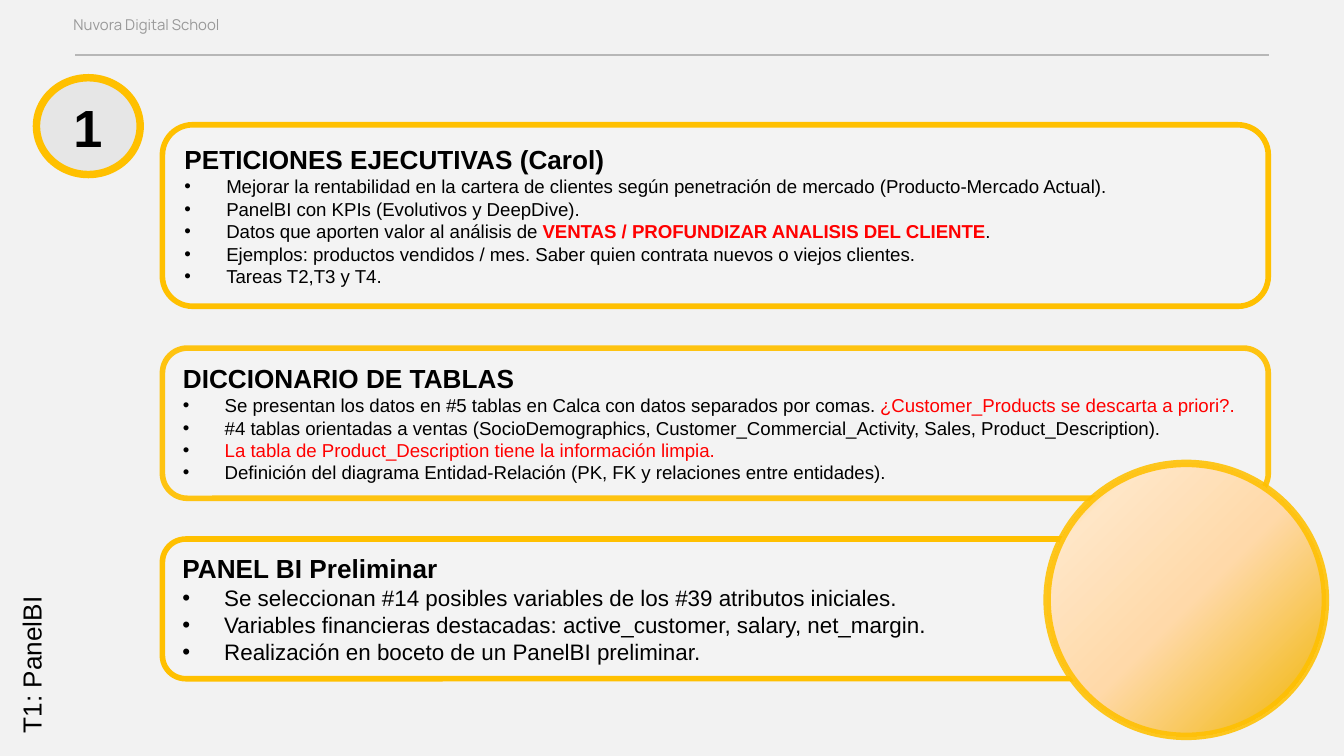
from lxml import etree
from pptx import Presentation
from pptx.dml.color import RGBColor
from pptx.enum import shapes, text
from pptx.oxml import parse_xml
from pptx.oxml.ns import nsdecls, qn
from pptx.util import Cm, Pt

COLORS = {"back": "F2F2F2", "rule": "B7B7B7", "brand": "999999", "gold": "FFC000",
          "grey": "808080", "white": "FFFFFF", "black": "000000", "red": "FF0000"}

# Content: each bullet is a list of (text, colour, bold) runs
SCHOOL = "Nuvora Digital School"
STEP = "1"
SIDE_TITLE = "T1: PanelBI"


def plain(words, color="black"):
    return (words, color, False)


# title, top (cm), height (cm), bullet size, line opacity, bullets
PANELS = [
    ("PETICIONES EJECUTIVAS (Carol)", 2.36, 3.43, 10, 100, [
        [plain("Mejorar la rentabilidad en la cartera de clientes según penetración "
               "de mercado (Producto-Mercado Actual).")],
        [plain("PanelBI con KPIs (Evolutivos y DeepDive).")],
        [plain("Datos que aporten valor al análisis de "),
         ("VENTAS / PROFUNDIZAR ANALISIS DEL CLIENTE", "red", True), plain(".")],
        [plain("Ejemplos: productos vendidos / mes. Saber quien contrata nuevos o "
               "viejos clientes.")],
        [plain("Tareas T2,T3 y T4.")],
    ]),
    ("DICCIONARIO DE TABLAS", 6.58, 2.84, 10, 92, [
        [plain("Se presentan los datos en #5 tablas en Calca con datos separados por comas. "),
         plain("¿Customer_Products se descarta a priori?.", "red")],
        [plain("#4 tablas orientadas a ventas (SocioDemographics, "
               "Customer_Commercial_Activity, Sales, Product_Description).")],
        [plain("La tabla de Product_Description tiene la información limpia.", "red")],
        [plain("Definición del diagrama Entidad-Relación (PK, FK y relaciones entre "
               "entidades).")],
    ]),
    ("PANEL BI Preliminar", 10.19, 2.64, 12, 100, [
        [plain("Se seleccionan #14 posibles variables de los #39 atributos iniciales.")],
        [plain("Variables financieras destacadas: active_customer, salary, net_margin.")],
        [plain("Realización en boceto de un PanelBI preliminar.")],
    ]),
]
PANEL_LEFT, PANEL_WIDTH = 3.07, 20.9
GLOW_STOPS = [(0, "F0B400"), (49, "FFD9A9"), (83, "FFE6C6"), (100, "FFC000")]


def rgb(name):
    return RGBColor.from_string(COLORS[name])


def set_opacity(fill_parent, percent):
    color = fill_parent.find(qn("a:solidFill"))[0]
    etree.SubElement(color, qn("a:alpha"), val=str(percent * 1000))


def add_run(paragraph, words, size, color="black", bold=False, font="Arial"):
    run = paragraph.add_run()
    run.text = words
    run.font.name, run.font.size, run.font.bold = font, Pt(size), bold
    run.font.color.rgb = rgb(color)


def add_label(slide, place, words, size, **style):
    label = slide.shapes.add_textbox(*map(Cm, place))
    label.text_frame.word_wrap = True
    add_run(label.text_frame.paragraphs[0], words, size, **style)
    return label


def add_outlined(slide, kind, place, width, fill=None, opacity=100):
    outlined = slide.shapes.add_shape(kind, *map(Cm, place))
    outlined.shadow.inherit = False
    outlined.line.color.rgb = rgb("gold")
    outlined.line.width = Pt(width)
    if opacity < 100:
        set_opacity(outlined.line._get_or_add_ln(), opacity)
    if fill:
        outlined.fill.solid()
        outlined.fill.fore_color.rgb = rgb(fill)
        set_opacity(outlined._element.spPr, 10)
    return outlined


def make_bullet(paragraph):
    props = paragraph._p.get_or_add_pPr()
    props.set("marL", str(Cm(0.79)))
    props.set("indent", str(-Cm(0.79)))
    bullet_color = etree.SubElement(props, qn("a:buClr"))
    etree.SubElement(bullet_color, qn("a:srgbClr"), val=COLORS["black"])
    etree.SubElement(props, qn("a:buFont"), typeface="Arial")
    etree.SubElement(props, qn("a:buChar"), char="•")


def add_panel(slide, title, top, height, size, opacity, bullets):
    panel = add_outlined(slide, shapes.MSO_SHAPE.ROUNDED_RECTANGLE,
                         (PANEL_LEFT, top, PANEL_WIDTH, height), 3, "white", opacity)
    frame = panel.text_frame
    frame.word_wrap = True
    frame.vertical_anchor = text.MSO_ANCHOR.MIDDLE
    heading = frame.paragraphs[0]
    heading.alignment = text.PP_ALIGN.LEFT
    add_run(heading, title, 14, bold=True)
    for runs in bullets:
        item = frame.add_paragraph()
        item.alignment = text.PP_ALIGN.LEFT
        make_bullet(item)
        for words, color, bold in runs:
            add_run(item, words, size, color, bold)


def add_glow(slide):
    glow = add_outlined(slide, shapes.MSO_SHAPE.OVAL, (19.79, 8.76, 5.26, 5.16), 4, opacity=88)
    stops = "".join(f'<a:gs pos="{at * 1000}"><a:srgbClr val="{color}"/></a:gs>'
                    for at, color in GLOW_STOPS)
    gradient = parse_xml(
        f'<a:gradFill {nsdecls("a")} rotWithShape="1"><a:gsLst>{stops}</a:gsLst>'
        '<a:path path="circle"><a:fillToRect l="100000" t="100000"/></a:path></a:gradFill>')
    glow._element.spPr.find(qn("a:prstGeom")).addnext(gradient)


def main():
    deck = Presentation()
    deck.slide_width, deck.slide_height = Cm(25.4), Cm(14.29)
    slide = deck.slides.add_slide(deck.slide_layouts[6])
    slide.background.fill.solid()
    slide.background.fill.fore_color.rgb = rgb("back")

    # Header
    rule = slide.shapes.add_connector(shapes.MSO_CONNECTOR.STRAIGHT,
                                      Cm(1.42), Cm(1.04), Cm(23.98), Cm(1.04))
    rule.line.color.rgb = rgb("rule")
    rule.line.width = Pt(0.75)
    etree.SubElement(rule._element.spPr, qn("a:effectLst"))
    school = add_label(slide, (1.14, 0.13, 10.92, 0.97), SCHOOL, 8,
                       color="brand", font="Manrope")
    school.text_frame.margin_top = school.text_frame.margin_bottom = Cm(0.25)

    # Step badge
    add_outlined(slide, shapes.MSO_SHAPE.OVAL, (0.69, 1.47, 1.96, 1.83), 4, "grey")
    add_label(slide, (1.14, 1.68, 0.81, 1.45), STEP, 28, bold=True)

    # Panels, with the glowing circle over their corner
    for panel in PANELS:
        add_panel(slide, *panel)
    add_glow(slide)

    # Side title, reading upwards
    side = add_label(slide, (-2.18, 10.9, 5.56, 0.86), SIDE_TITLE, 14)
    side.rotation = 270

    deck.save("out.pptx")


if __name__ == "__main__":
    main()
